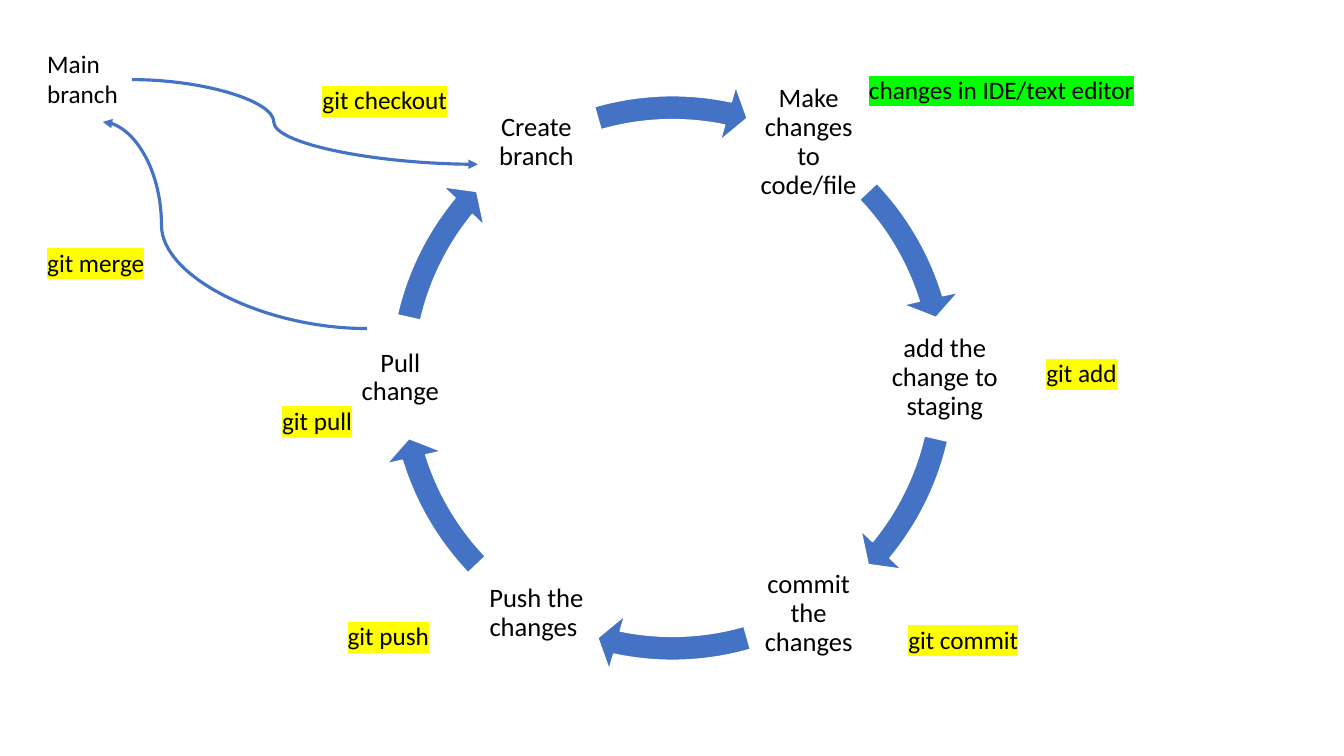
from math import cos, radians, sin

from lxml.etree import SubElement
from pptx import Presentation
from pptx.dml.color import RGBColor
from pptx.enum.shapes import MSO_CONNECTOR, MSO_SHAPE
from pptx.enum.text import MSO_ANCHOR, MSO_AUTO_SIZE, PP_ALIGN
from pptx.oxml.ns import qn
from pptx.util import Inches, Pt

COLORS = {
    "blue": "4472C4",
    "white": "FFFFFF",
    "black": "000000",
    "yellow": "FFFF00",
    "green": "00FF00",
}


def color(name):
    return RGBColor.from_string(COLORS[name])


def add_text(slide, text, left, top, width, height, size):
    box = slide.shapes.add_textbox(Inches(left), Inches(top), Inches(width), Inches(height))
    box.text_frame.word_wrap = True
    run = box.text_frame.paragraphs[0].add_run()
    run.text = text
    run.font.size = Pt(size)
    run.font.name = "Calibri"
    run.font.color.rgb = color("black")
    return box.text_frame, run


presentation = Presentation()
presentation.slide_width = Inches(13.33)
presentation.slide_height = Inches(7.5)
slide = presentation.slides.add_slide(presentation.slide_layouts[6])

center_x, center_y, radius = 6.67, 3.75, 2.7
step_size, ring_size = 1.21, 5.92
steps = [
    ("Make changes to code/file", 205.737, 189.825),
    ("add the change to staging", 23.674, 7.762),
    ("commit the changes", 61.116, 44.382),
    ("Push the changes ", 97.737, 81.825),
    ("Pull change", 131.674, 115.762),
    ("Create branch", 169.116, 152.382),
]
for index, (text, arrow_end, arrow_start) in enumerate(steps):
    angle = radians(60 * index - 60)
    left = center_x + radius * cos(angle) - step_size / 2
    top = center_y + radius * sin(angle) - step_size / 2
    frame, run = add_text(slide, text, left, top, step_size, step_size, 19)
    frame.vertical_anchor = MSO_ANCHOR.MIDDLE
    frame.margin_left = frame.margin_right = Inches(0.03)
    frame.margin_top = frame.margin_bottom = Inches(0.03)
    paragraph = frame.paragraphs[0]
    paragraph.alignment = PP_ALIGN.CENTER
    paragraph.line_spacing = 0.9

    arrow = slide.shapes.add_shape(
        MSO_SHAPE.CIRCULAR_ARROW,
        Inches(center_x - ring_size / 2), Inches(center_y - ring_size / 2),
        Inches(ring_size), Inches(ring_size),
    )
    for position, value in enumerate((0.04, 2.502, arrow_end, arrow_start, 0.047)):
        arrow.adjustments[position] = value
    arrow.shadow.inherit = False
    arrow.fill.solid()
    arrow.fill.fore_color.rgb = color("blue")
    arrow.line.color.rgb = color("white")
    arrow.line.width = Pt(1)

labels = [
    ("changes in IDE/text editor", 8.52, 0.69, 3.06, 0.4, "green"),
    ("git add", 10.28, 3.5, 0.94, 0.4, "yellow"),
    ("git commit", 8.91, 6.14, 1.38, 0.4, "yellow"),
    ("git push", 3.35, 6.11, 1.06, 0.4, "yellow"),
    ("git pull", 2.7, 3.97, 0.94, 0.4, "yellow"),
    ("git checkout", 3.1, 0.79, 1.48, 0.4, "yellow"),
    ("git merge", 0.37, 2.4, 1.18, 0.4, "yellow"),
    ("Main branch", 0.37, 0.43, 0.94, 0.71, None),
]
for text, left, top, width, height, highlight_name in labels:
    frame, run = add_text(slide, text, left, top, width, height, 18)
    frame.auto_size = MSO_AUTO_SIZE.SHAPE_TO_FIT_TEXT
    if highlight_name:
        properties = run.font._element
        highlight = SubElement(properties, qn("a:highlight"))
        SubElement(highlight, qn("a:srgbClr"), val=COLORS[highlight_name])
        properties.find(qn("a:solidFill")).addnext(highlight)

branch_curves = [
    (1.31, 0.79, 4.74, 1.63, 41000),
    (3.64, 3.26, 1.02, 1.21, 77800),
]
for begin_x, begin_y, end_x, end_y, bend in branch_curves:
    curve = slide.shapes.add_connector(
        MSO_CONNECTOR.CURVE,
        Inches(begin_x), Inches(begin_y), Inches(end_x), Inches(end_y),
    )
    curve.line.color.rgb = color("blue")
    curve.line.width = Pt(2.25)
    SubElement(curve.line._get_or_add_ln(), qn("a:tailEnd"), type="triangle")
    properties = curve._element.spPr
    SubElement(properties, qn("a:effectLst"))
    guides = properties.find(qn("a:prstGeom")).find(qn("a:avLst"))
    SubElement(guides, qn("a:gd"), name="adj1", fmla=f"val {bend}")

presentation.save("out.pptx")
